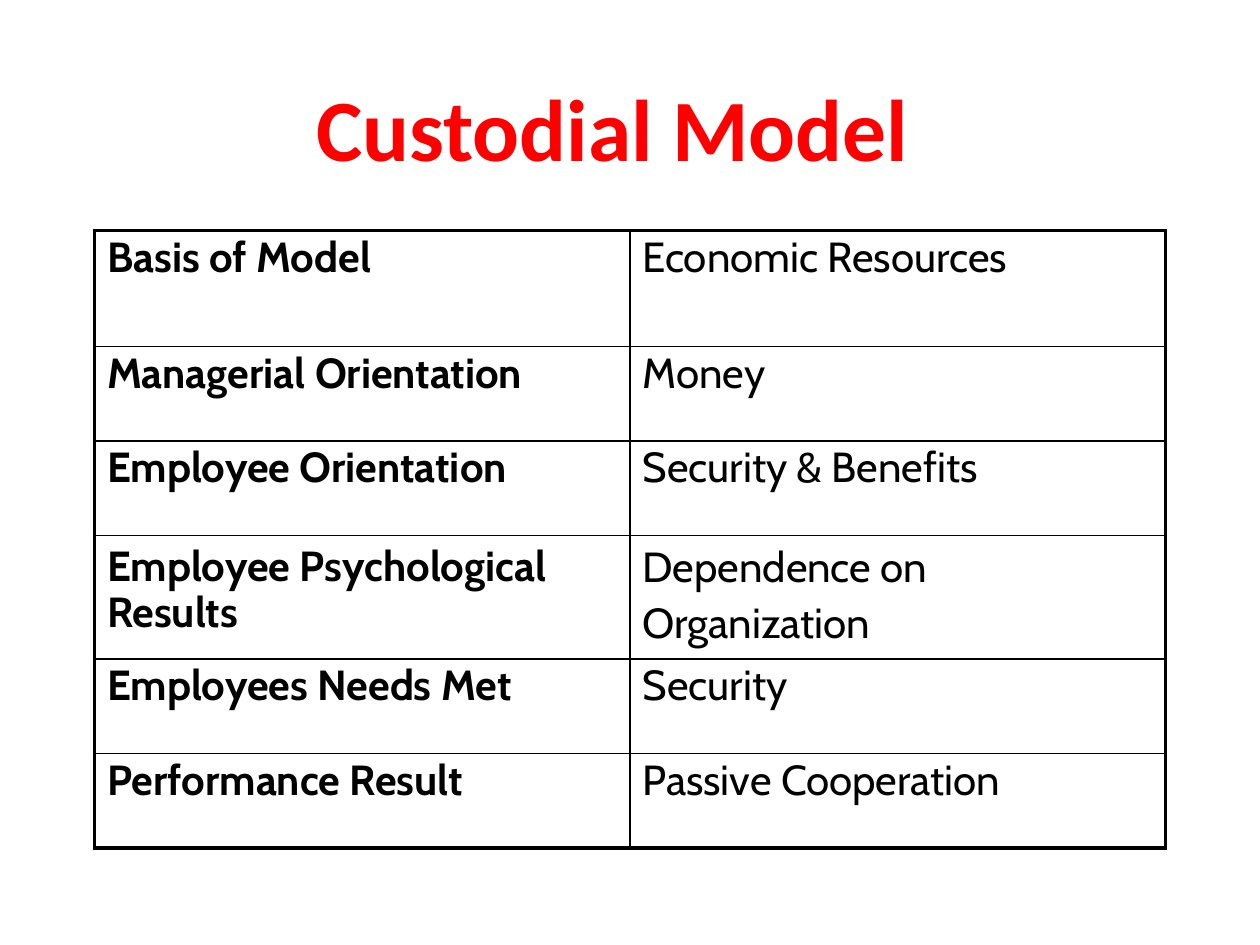
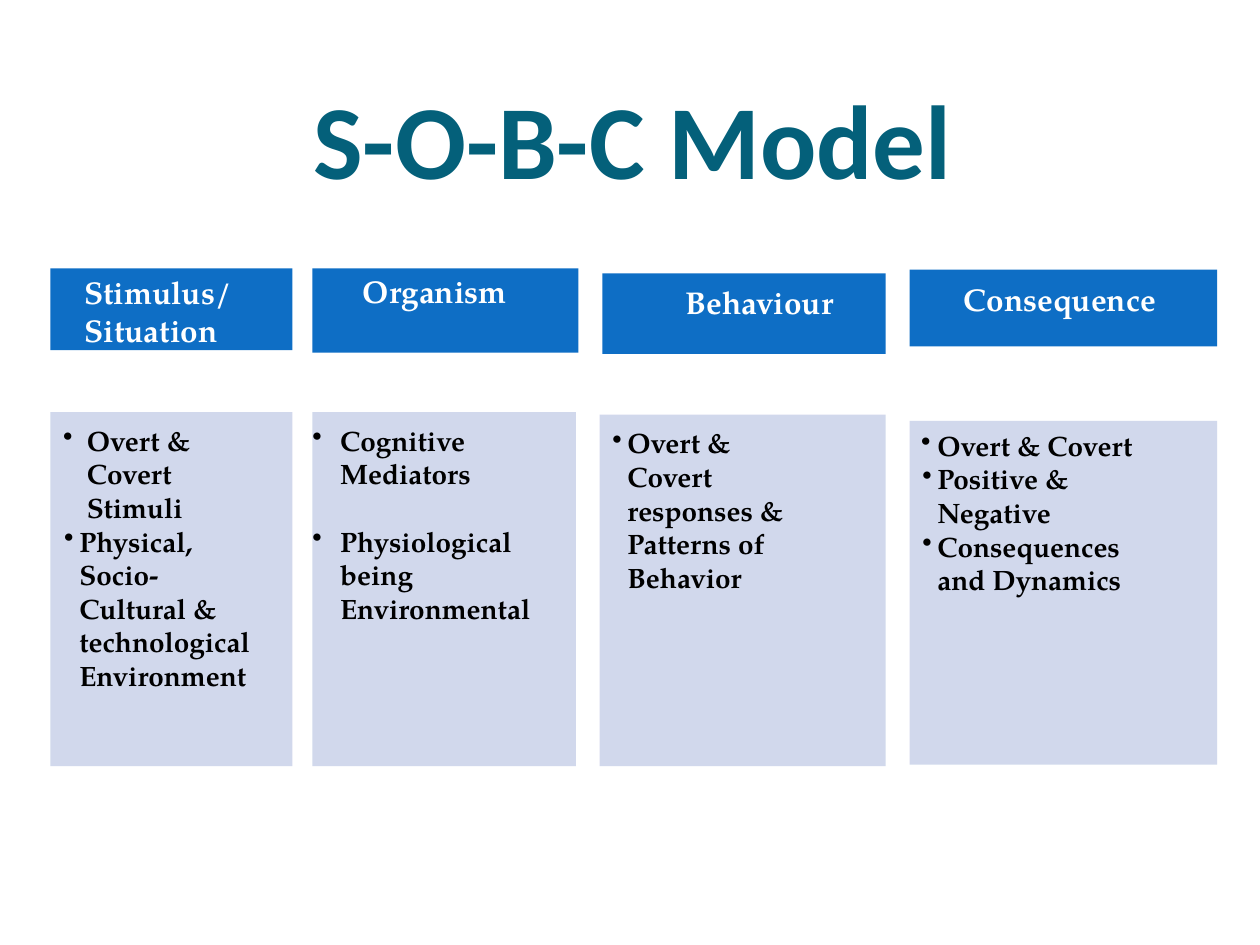
from pptx import Presentation
from pptx.dml.color import RGBColor
from pptx.enum.shapes import MSO_SHAPE
from pptx.enum.text import MSO_ANCHOR, PP_ALIGN
from pptx.oxml.xmlchemy import OxmlElement as make_element
from pptx.util import Inches, Pt

RED = RGBColor(0xFF, 0x00, 0x00)
TEAL = RGBColor(0x04, 0x60, 0x7A)
BLUE = RGBColor(0x0E, 0x6E, 0xC5)
LAVENDER = RGBColor(0xCC, 0xD4, 0xEA)
BLACK = RGBColor(0x00, 0x00, 0x00)
WHITE = RGBColor(0xFF, 0xFF, 0xFF)

TITLE_FONT, TABLE_FONT, MODEL_FONT = "Calibri", "Cabin", "TeX Gyre Pagella"
LABEL = dict(name=TABLE_FONT, size=Pt(24), bold=True)
VALUE = dict(LABEL, bold=False)
HEADING = dict(name=MODEL_FONT, size=Pt(18), bold=True)
POINT = dict(HEADING, size=Pt(16))

CUSTODIAL_TITLE = ("Custodial Model", (2.5, 0.58, 4.74, 0.86), 50, RED)
CUSTODIAL_ROWS = [
    ("Basis of Model", "Economic Resources", 0.92),
    ("Managerial Orientation", "Money", 0.75),
    ("Employee Orientation", "Security & Benefits", 0.75),
    ("Employee Psychological Results", "Dependence on Organization", 0.98),
    ("Employees Needs Met", "Security", 0.75),
    ("Performance Result", "Passive Cooperation", 0.75),
]
TABLE_LEFT, TABLE_TOP, COLUMN_WIDTH = 0.75, 1.83, 4.25
TALL_ROW = 3
OUTER_LINE, INNER_LINE = 2.25, 1

SOBC_TITLE = ("S-O-B-C Model", (2.48, 0.58, 5.1, 1.03), 60, TEAL)
SOBC_COLUMNS = [
    dict(heading="Stimulus/ Situation",
         heading_box=(0.4, 2.13, 1.92, 0.65), heading_inset=(0.27, 0.04, 0),
         points_box=(0.4, 3.27, 1.92, 2.81), points_inset=(0, 0.09, 0.27),
         points=[("Overt & Covert Stimuli", 0.29, 0.19, 0),
                 ("Physical, Socio- Cultural & technological Environment", 0.23, 0.12, 0)]),
    dict(heading="Organism",
         heading_box=(2.48, 2.13, 2.11, 0.67), heading_inset=(0.4, 0.03, 0),
         points_box=(2.48, 3.27, 2.09, 2.81), points_inset=(0, 0.09, 0.2),
         points=[("Cognitive Mediators", 0.22, 0.22, 0),
                 ("Physiological being Environmental", 0.22, 0.22, 19.2)]),
    dict(heading="Behaviour",
         heading_box=(4.78, 2.17, 2.25, 0.64), heading_inset=(0.66, 0.08, 0),
         points_box=(4.76, 3.29, 2.27, 2.79), points_inset=(0, 0.09, 0.68),
         points=[("Overt & Covert responses & Patterns of Behavior", 0.22, 0.12, 0)]),
    dict(heading="Consequence",
         heading_box=(7.22, 2.14, 2.44, 0.61), heading_inset=(0.43, 0.08, 0),
         points_box=(7.22, 3.34, 2.44, 2.73), points_inset=(0, 0.06, 0.54),
         points=[("Overt & Covert", 0.22, 0.13, 0),
                 ("Positive & Negative", 0.22, 0.12, 0),
                 ("Consequences and Dynamics", 0.22, 0.12, 0)]),
]


def write(para, text, style, color):
    para.alignment = PP_ALIGN.LEFT
    span = para.add_run()
    span.text = text
    for key, value in style.items():
        setattr(span.font, key, value)
    span.font.color.rgb = color


def set_inset(target, left, top, right):
    for side, value in dict(left=left, top=top, right=right, bottom=0).items():
        setattr(target, f"margin_{side}", Inches(value))
    target.vertical_anchor = MSO_ANCHOR.TOP


def add_title(page, text, place, size, color):
    frame = page.shapes.add_textbox(*map(Inches, place)).text_frame
    frame.word_wrap = True
    set_inset(frame, 0.01, 0.01, 0)
    write(frame.paragraphs[0], text, dict(name=TITLE_FONT, size=Pt(size), bold=True), color)


def add_panel(page, place, color, inset):
    box = page.shapes.add_shape(MSO_SHAPE.RECTANGLE, *map(Inches, place))
    box.shadow.inherit = False
    box.fill.solid()
    box.fill.fore_color.rgb = color
    box.line.fill.background()
    box.text_frame.word_wrap = True
    set_inset(box.text_frame, *inset)
    return box


def add_bullet(para, indent, hang):
    props = para._p.get_or_add_pPr()
    props.set("marL", str(Inches(indent)))
    props.set("indent", str(-Inches(hang)))
    bullet = make_element("a:buChar")
    bullet.set("char", "•")
    props.append(bullet)


def set_borders(cell, widths):
    props = cell._tc.get_or_add_tcPr()
    for position, (side, width) in enumerate(widths.items()):
        line = make_element(f"a:ln{side}")
        line.set("w", str(Pt(width)))
        fill = make_element("a:solidFill")
        color = make_element("a:srgbClr")
        color.set("val", str(BLACK))
        fill.append(color)
        line.append(fill)
        props.insert(position, line)


def build_custodial(page):
    add_title(page, *CUSTODIAL_TITLE)
    last = len(CUSTODIAL_ROWS) - 1
    height = sum(row[2] for row in CUSTODIAL_ROWS)
    place = (TABLE_LEFT, TABLE_TOP, 2 * COLUMN_WIDTH, height)
    table = page.shapes.add_table(last + 1, 2, *map(Inches, place)).table
    table.first_row = table.horz_banding = False
    for column in table.columns:
        column.width = Inches(COLUMN_WIDTH)
    for index, (label, value, row_height) in enumerate(CUSTODIAL_ROWS):
        table.rows[index].height = Inches(row_height)
        for side, (text, style) in enumerate([(label, LABEL), (value, VALUE)]):
            cell = table.cell(index, side)
            para = cell.text_frame.paragraphs[0]
            cell.fill.background()
            tall = index == TALL_ROW
            set_inset(cell, 0.1, 0.09 if tall and side == 0 else 0.01, 0.5 * side)
            write(para, text, style, BLACK)
            if tall:
                para.line_spacing = 1.1 if side else Pt(26)
            edges = dict(L=side == 0, R=side == 1, T=index == 0, B=index == last)
            set_borders(cell, {edge: OUTER_LINE if outer else INNER_LINE
                               for edge, outer in edges.items()})


def build_sobc(page):
    add_title(page, *SOBC_TITLE)
    for column in SOBC_COLUMNS:
        box = add_panel(page, column["heading_box"], BLUE, column["heading_inset"])
        write(box.text_frame.paragraphs[0], column["heading"], HEADING, WHITE)

        box = add_panel(page, column["points_box"], LAVENDER, column["points_inset"])
        alpha = make_element("a:alpha")
        alpha.set("val", "90000")
        box._element.spPr.find(".//{*}srgbClr").append(alpha)
        frame = box.text_frame
        for index, (text, indent, hang, gap) in enumerate(column["points"]):
            para = frame.add_paragraph() if index else frame.paragraphs[0]
            add_bullet(para, indent, hang)
            if gap:
                para.space_before = Pt(gap)
            write(para, text, POINT, BLACK)


def main():
    deck = Presentation()
    deck.slide_width, deck.slide_height = Inches(10), Inches(7.5)
    for build in (build_custodial, build_sobc):
        build(deck.slides.add_slide(deck.slide_layouts[6]))
    deck.save("out.pptx")


if __name__ == "__main__":
    main()
